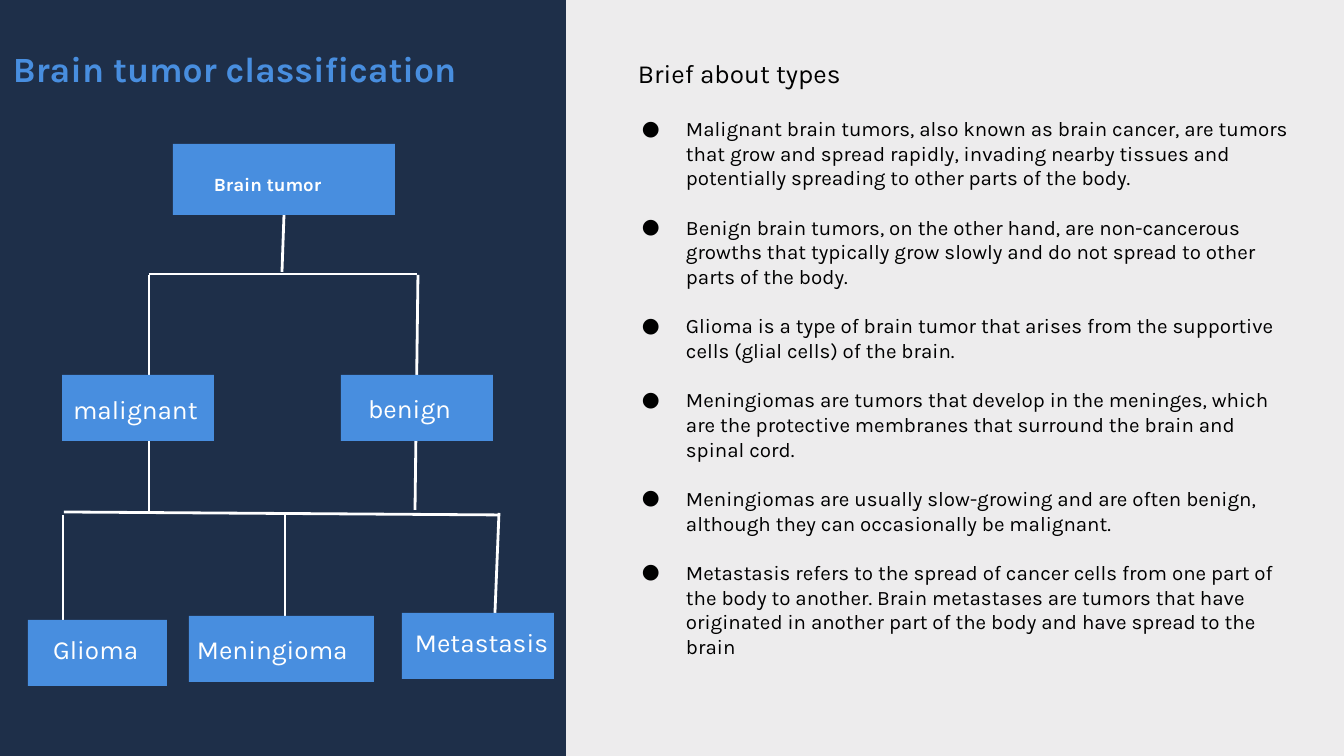
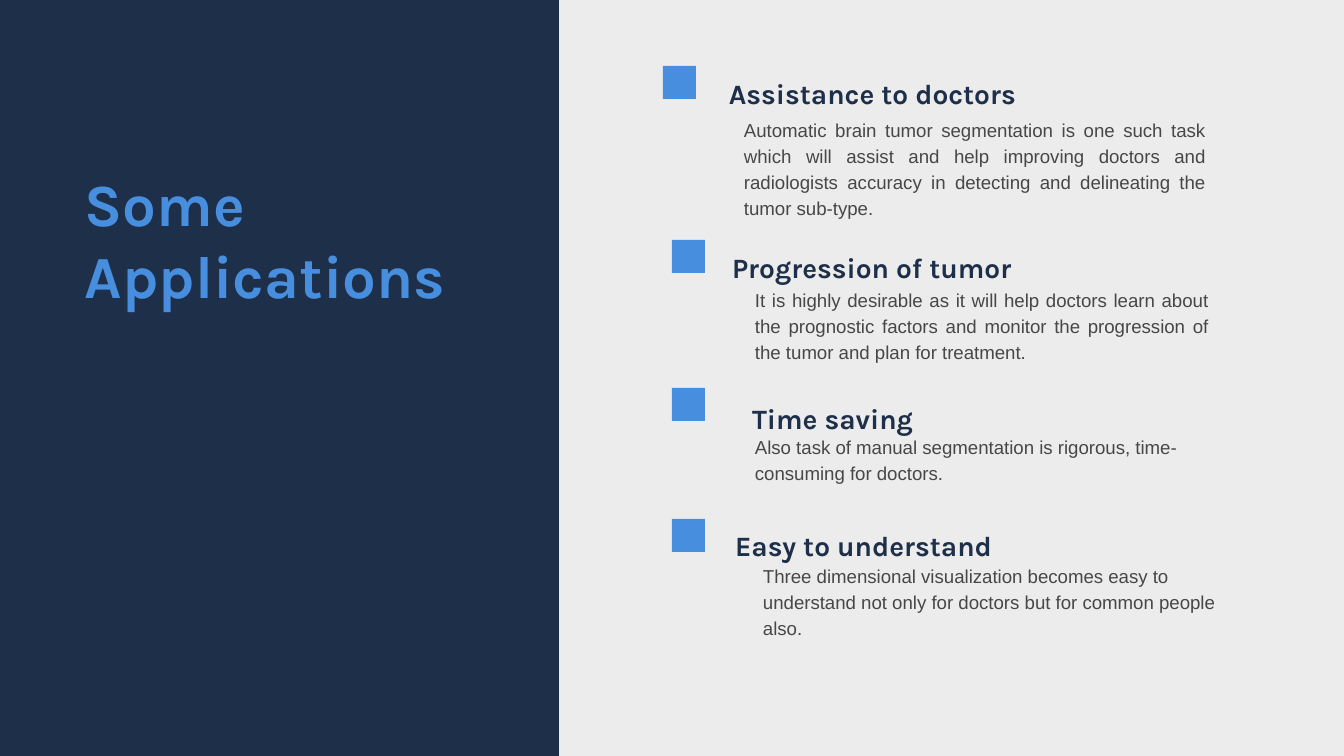
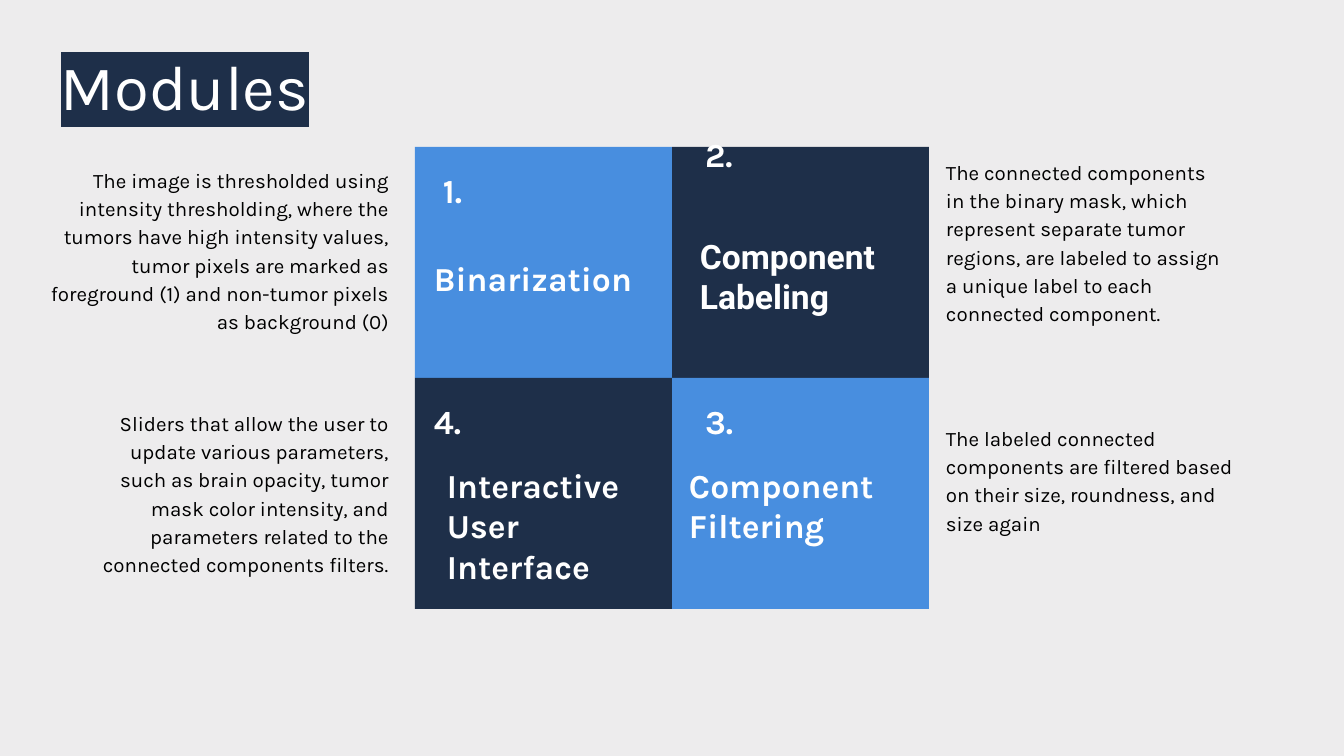
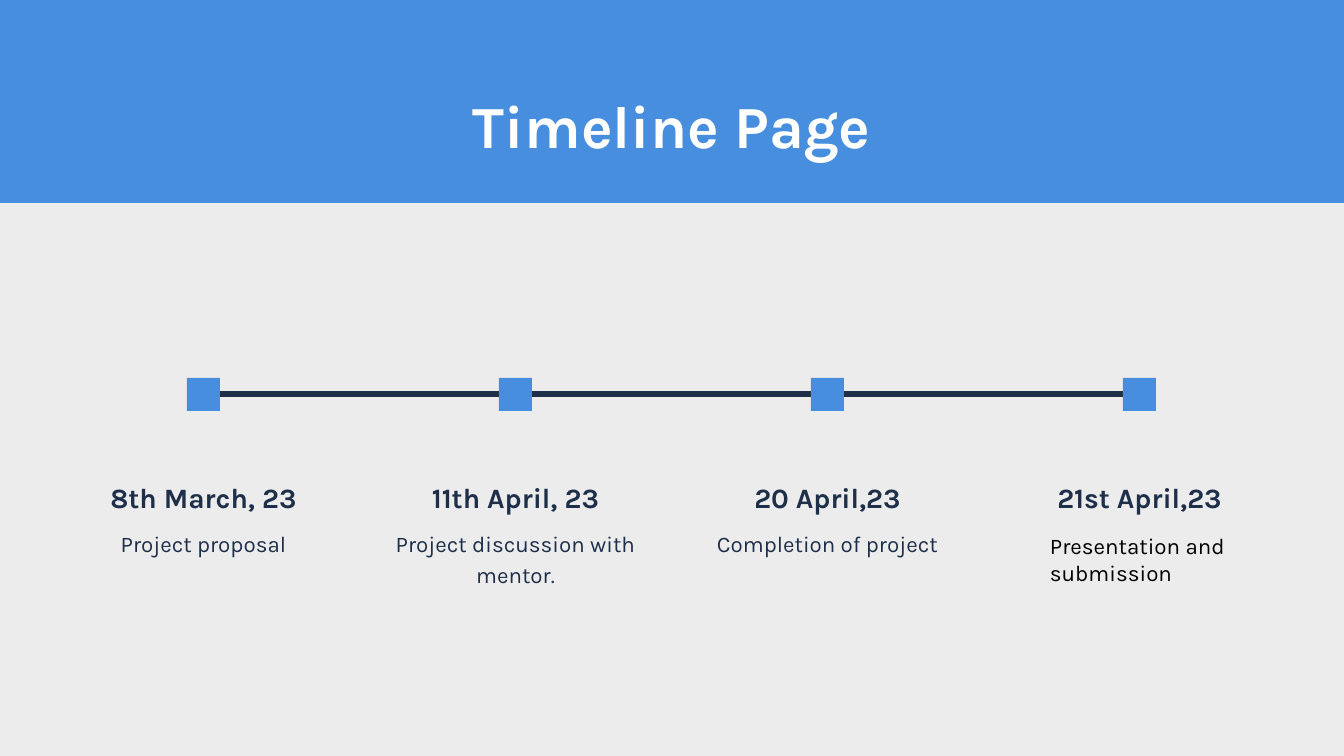
from dataclasses import dataclass, replace
from typing import NamedTuple

from lxml.etree import SubElement
from pptx import Presentation
from pptx.dml.color import RGBColor
from pptx.enum.shapes import MSO_CONNECTOR as Connector, MSO_SHAPE as Preset
from pptx.enum.text import MSO_AUTO_SIZE as AutoSize, PP_ALIGN as Align
from pptx.oxml.ns import qn
from pptx.util import Pt

EMU_PER_PX = 914400 / 134.4


@dataclass(frozen=True)
class Theme:
    """Colours, fonts, type sizes and shared measures of the slides."""
    navy: str = "1E2F49"
    blue: str = "488EDF"
    paper: str = "EDECED"
    white: str = "FFFFFF"
    black: str = "000000"
    grey: str = "474747"
    main_font: str = "Karla"
    body_font: str = "Arial"
    accent_font: str = "Roboto"
    highlight_size: int = 34
    title_size: int = 32
    panel_title_size: int = 19
    module_size: int = 18
    heading_size: int = 15
    node_size: int = 14
    detail_size: int = 12
    note_size: int = 11
    small_size: int = 10
    inset: int = 13
    marker: int = 33
    indent: int = 67
    hanging: int = 44


THEME = Theme()


class Box(NamedTuple):
    """Left, top, width and height in px."""
    left: int
    top: int
    width: int
    height: int

    def inner(self, left, top, width, height):
        """Return a box placed relative to this one."""
        return Box(self.left + left, self.top + top, width, height)


@dataclass(frozen=True)
class Style:
    """Look of one text box."""
    size: int
    color: str = THEME.white
    bold: bool = False
    font: str = THEME.main_font
    spacing: float = 1.0
    align: Align = Align.LEFT
    inset: int = 0
    indent: int = 0
    bullet: bool = False
    space_after: float = 0
    highlight: str = ""


NODE = Style(THEME.node_size, inset=THEME.inset)
ROOT = Style(THEME.small_size, bold=True, spacing=1.2)
PANEL_TITLE = Style(THEME.panel_title_size, THEME.blue, True, inset=THEME.inset)
SUBTITLE = replace(NODE, color=THEME.black)
BULLETS = Style(THEME.note_size, THEME.black, inset=THEME.inset,
                indent=THEME.indent, bullet=True, space_after=13.2)
TITLE = Style(THEME.title_size, THEME.blue, True)
BAND_TITLE = replace(TITLE, color=THEME.white, spacing=1.2, align=Align.CENTER)
HEADING = Style(THEME.heading_size, THEME.navy, True, spacing=1.3)
BODY = Style(THEME.small_size, THEME.grey, font=THEME.body_font,
             spacing=1.15, indent=THEME.indent)
MODULE = Style(THEME.module_size, bold=True, inset=THEME.inset)
HIGHLIGHTED = Style(THEME.highlight_size, inset=THEME.inset,
                    highlight=THEME.navy)
NOTE = Style(THEME.note_size, THEME.black, spacing=1.15)
DATE = replace(HEADING, align=Align.CENTER)
DETAIL = Style(THEME.detail_size, THEME.navy, spacing=1.15, align=Align.CENTER)
LAST_DETAIL = Style(THEME.detail_size, THEME.black, inset=THEME.inset)


def px(length):
    """Turn px into EMU."""
    return round(length * EMU_PER_PX)


def rgb(color):
    """Return the colour object of a hex value."""
    return RGBColor.from_string(color)


def add_slide(presentation):
    """Add a blank slide on the paper colour."""
    slide = presentation.slides.add_slide(presentation.slide_layouts[6])
    slide.background.fill.solid()
    slide.background.fill.fore_color.rgb = rgb(THEME.paper)
    return slide


def add_block(slide, box, color):
    """Add a plain filled rectangle."""
    shape = slide.shapes.add_shape(Preset.RECTANGLE, *map(px, box))
    shape.shadow.inherit = False
    shape.fill.solid()
    shape.fill.fore_color.rgb = rgb(color)
    shape.line.fill.background()


def add_line(slide, start, end, color, width):
    """Add a straight line between two points."""
    line = slide.shapes.add_connector(
        Connector.STRAIGHT, *map(px, (*start, *end)))
    line.line.color.rgb = rgb(color)
    line.line.width = Pt(width)
    SubElement(line._element.spPr, qn("a:effectLst"))


def add_bullet(properties, color):
    """Give a paragraph a hanging round bullet."""
    properties.set("indent", str(-px(THEME.hanging)))
    bullet_color = SubElement(properties, qn("a:buClr"))
    SubElement(bullet_color, qn("a:srgbClr"), val=color)
    SubElement(properties, qn("a:buFont"), typeface=THEME.main_font)
    SubElement(properties, qn("a:buChar"), char="●")


def add_highlight(run, color):
    """Mark a run with a background colour."""
    properties = run._r.get_or_add_rPr()
    highlight = SubElement(properties, qn("a:highlight"))
    SubElement(highlight, qn("a:srgbClr"), val=color)
    properties.find(qn("a:latin")).addprevious(highlight)


def fill_paragraph(paragraph, text, style):
    """Write one run into a paragraph and style both."""
    paragraph.alignment = style.align
    paragraph.line_spacing = style.spacing
    if style.space_after:
        paragraph.space_after = Pt(style.space_after)
    properties = paragraph._p.get_or_add_pPr()
    if style.indent:
        properties.set("marL", str(px(style.indent)))
        properties.set("indent", "0")
    if style.bullet:
        add_bullet(properties, style.color)
    run = paragraph.add_run()
    run.text = text
    run.font.size = Pt(style.size)
    run.font.bold = style.bold
    run.font.color.rgb = rgb(style.color)
    run.font.name = style.font
    if style.highlight:
        add_highlight(run, style.highlight)


def add_text(slide, box, style, *texts):
    """Add a text box with one paragraph for each text."""
    frame = slide.shapes.add_textbox(*map(px, box)).text_frame
    frame.word_wrap = True
    frame.auto_size = AutoSize.SHAPE_TO_FIT_TEXT
    frame.margin_left = frame.margin_right = px(style.inset)
    frame.margin_top = frame.margin_bottom = px(style.inset)
    for index, text in enumerate(texts):
        paragraph = frame.add_paragraph() if index else frame.paragraphs[0]
        fill_paragraph(paragraph, text, style)


TREE_LINES = (
    ((282, 272), (284, 215)), ((149, 274), (417, 274)),
    ((149, 511), (149, 275)), ((415, 510), (418, 275)),
    ((64, 512), (499, 515)), ((63, 621), (63, 515)),
    ((285, 620), (285, 513)), ((495, 613), (499, 513)),
)
TREE_NODES = (
    ("Brain tumor", ROOT, (173, 144, 222, 71), (41, 24, 146, 23)),
    ("malignant", NODE, (62, 375, 152, 66), (-2, 5, 172, 59)),
    ("benign", NODE, (341, 375, 152, 66), (14, 4, 146, 59)),
    ("Glioma", NODE, (28, 620, 139, 66), (12, 0, 130, 59)),
    ("Meningioma", NODE, (189, 616, 185, 66), (-5, 4, 202, 59)),
    ("Metastasis", NODE, (402, 613, 152, 66), (0, 0, 185, 59)),
)
TYPE_NOTES = (
    "Malignant brain tumors, also known as brain cancer, are tumors that grow "
    "and spread rapidly, invading nearby tissues and potentially spreading to "
    "other parts of the body.",
    "Benign brain tumors, on the other hand, are non-cancerous growths that "
    "typically grow slowly and do not spread to other parts of the body.",
    "Glioma is a type of brain tumor that arises from the supportive cells "
    "(glial cells) of the brain.",
    "Meningiomas are tumors that develop in the meninges, which are the "
    "protective membranes that surround the brain and spinal cord.",
    "Meningiomas are usually slow-growing and are often benign, although they "
    "can occasionally be malignant.",
    "Metastasis refers to the spread of cancer cells from one part of the body "
    "to another. Brain metastases are tumors that have originated in another "
    "part of the body and have spread to the brain",
)


def build_tree(slide, box):
    """Draw the dark panel with the classification tree."""
    add_block(slide, box, THEME.navy)
    for points in TREE_LINES:
        start, end = ((box.left + x, box.top + y) for x, y in points)
        add_line(slide, start, end, THEME.white, 1.5)
    for name, style, place, label in TREE_NODES:
        node = box.inner(*place)
        add_block(slide, node, THEME.blue)
        add_text(slide, node.inner(*label), style, name)
    add_text(slide, box.inner(0, 34, 688, 70), PANEL_TITLE,
             "Brain tumor classification")


def build_type_notes(slide, box):
    """Write the heading and bullets about the tumor types."""
    add_text(slide, box.inner(19, 0, 485, 59), SUBTITLE, "Brief about types")
    add_text(slide, box.inner(0, 59, box.width, 575), BULLETS, *TYPE_NOTES)


def build_classification(presentation):
    """Build the classification slide."""
    slide = add_slide(presentation)
    build_tree(slide, Box(0, 0, 566, 756))
    build_type_notes(slide, Box(606, 44, 699, 634))


class Application(NamedTuple):
    """One application, with its offsets from the marker."""
    heading: str
    body: str
    marker: tuple
    heading_at: tuple
    body_at: tuple
    body_width: int
    align: Align


APPLICATIONS = (
    Application(
        "Assistance to doctors",
        "Automatic brain tumor segmentation is one such task which will assist "
        "and help improving doctors and radiologists accuracy in detecting and "
        "delineating the tumor sub-type.",
        (663, 66), (66, 0), (14, 50), 528, Align.JUSTIFY),
    Application(
        "Progression of tumor",
        "It is highly desirable as it will help doctors learn about the "
        "prognostic factors and monitor the progression of the tumor and plan "
        "for treatment.",
        (672, 240), (60, 0), (16, 46), 520, Align.JUSTIFY),
    Application(
        "Time saving",
        "Also task of manual segmentation is rigorous, time-consuming for "
        "doctors.",
        (672, 388), (80, 3), (16, 45), 559, Align.LEFT),
    Application(
        "Easy to understand",
        "Three dimensional visualization becomes easy to understand not only "
        "for doctors but for common people also.",
        (672, 519), (63, 0), (24, 43), 543, Align.LEFT),
)


def build_application(slide, box, item):
    """Place one marker with its heading and body."""
    add_block(slide, box, THEME.blue)
    add_text(slide, box.inner(*item.heading_at, 460, 34), HEADING, item.heading)
    add_text(slide, box.inner(*item.body_at, item.body_width, 100),
             replace(BODY, align=item.align), item.body)


def build_applications(presentation):
    """Build the applications slide."""
    slide = add_slide(presentation)
    panel = Box(0, 0, 559, 756)
    add_block(slide, panel, THEME.navy)
    add_text(slide, panel.inner(85, 167, 421, 145), TITLE, "Some Applications")
    for item in APPLICATIONS:
        marker = Box(*item.marker, THEME.marker, THEME.marker)
        build_application(slide, marker, item)


MODULES = (
    ("1.", "Binarization", (15, 10), (6, 98, 234, 67), MODULE),
    ("2.", "Component Labeling", (20, -26), (15, 76, 203, 109),
     replace(MODULE, font=THEME.accent_font)),
    ("4.", "Interactive User Interface", (6, 10), (19, 74, 234, 149), MODULE),
    ("3.", "Component Filtering", (20, 10), (4, 74, 234, 109), MODULE),
)
MODULE_NOTES = (
    ("The image is thresholded using intensity thresholding, where the tumors "
     "have high intensity values, tumor pixels are marked as foreground (1) "
     "and non-tumor pixels as background (0)",
     Box(34, 164, 355, 168), Align.RIGHT),
    ("The connected components in the binary mask, which represent separate "
     "tumor regions, are labeled to assign a unique label to each connected "
     "component.",
     Box(946, 156, 281, 168), Align.LEFT),
    ("Sliders that allow the user to update various parameters, such as brain "
     "opacity, tumor mask color intensity, and parameters related to the "
     "connected components filters.",
     Box(100, 407, 289, 196), Align.RIGHT),
    ("The labeled connected components are filtered based on their size, "
     "roundness, and size again",
     Box(946, 422, 289, 110), Align.LEFT),
)


def build_module_grid(slide, box):
    """Draw the two by two checkerboard of modules."""
    width, height = box.width // 2, box.height // 2
    for index, (number, name, number_at, name_at, style) in enumerate(MODULES):
        row, column = divmod(index, 2)
        cell = box.inner(column * width, row * height, width, height)
        add_block(slide, cell, THEME.navy if row != column else THEME.blue)
        add_text(slide, cell.inner(*number_at, 70, 67), MODULE, number)
        add_text(slide, cell.inner(*name_at), style, name)


def build_modules(presentation):
    """Build the modules slide."""
    slide = add_slide(presentation)
    add_text(slide, Box(48, 34, 668, 104), HIGHLIGHTED, "Modules")
    build_module_grid(slide, Box(415, 147, 514, 462))
    for text, box, align in MODULE_NOTES:
        add_text(slide, box, replace(NOTE, align=align), text)


DETAIL_BOX = (0, 148, 257, 58)
MILESTONES = (
    ("8th March, 23", "Project proposal", DETAIL, DETAIL_BOX),
    ("11th April, 23", "Project discussion with mentor.", DETAIL, DETAIL_BOX),
    ("20 April,23", "Completion of project", DETAIL, DETAIL_BOX),
    ("21st April,23", "Presentation and submission", LAST_DETAIL,
     (26, 141, 278, 82)),
)


def build_band(slide, box):
    """Draw the title band."""
    add_block(slide, box, THEME.blue)
    add_text(slide, box.inner(263, 75, 818, 73), BAND_TITLE, "Timeline Page")


def build_milestones(slide, box):
    """Draw the line and its evenly spaced milestones."""
    pitch, width, marker_left = 312, 257, 112
    middle = THEME.marker // 2
    line_left = box.left + marker_left + middle
    line_top = box.top + middle
    line_right = line_left + pitch * (len(MILESTONES) - 1)
    add_line(slide, (line_left, line_top), (line_right, line_top),
             THEME.navy, 3)
    for index, (date, detail, style, detail_at) in enumerate(MILESTONES):
        column = box.inner(index * pitch, 0, width, box.height)
        marker = column.inner(marker_left, 0, THEME.marker, THEME.marker)
        add_block(slide, marker, THEME.blue)
        add_text(slide, column.inner(0, 92, width, 34), DATE, date)
        add_text(slide, column.inner(*detail_at), style, detail)


def build_timeline(presentation):
    """Build the timeline slide."""
    slide = add_slide(presentation)
    build_band(slide, Box(0, 0, 1344, 203))
    build_milestones(slide, Box(75, 378, 1193, 223))


def main():
    """Build and save the presentation."""
    presentation = Presentation()
    presentation.slide_width = px(1344)
    presentation.slide_height = px(756)
    build_classification(presentation)
    build_applications(presentation)
    build_modules(presentation)
    build_timeline(presentation)
    presentation.save("out.pptx")


if __name__ == "__main__":
    main()
